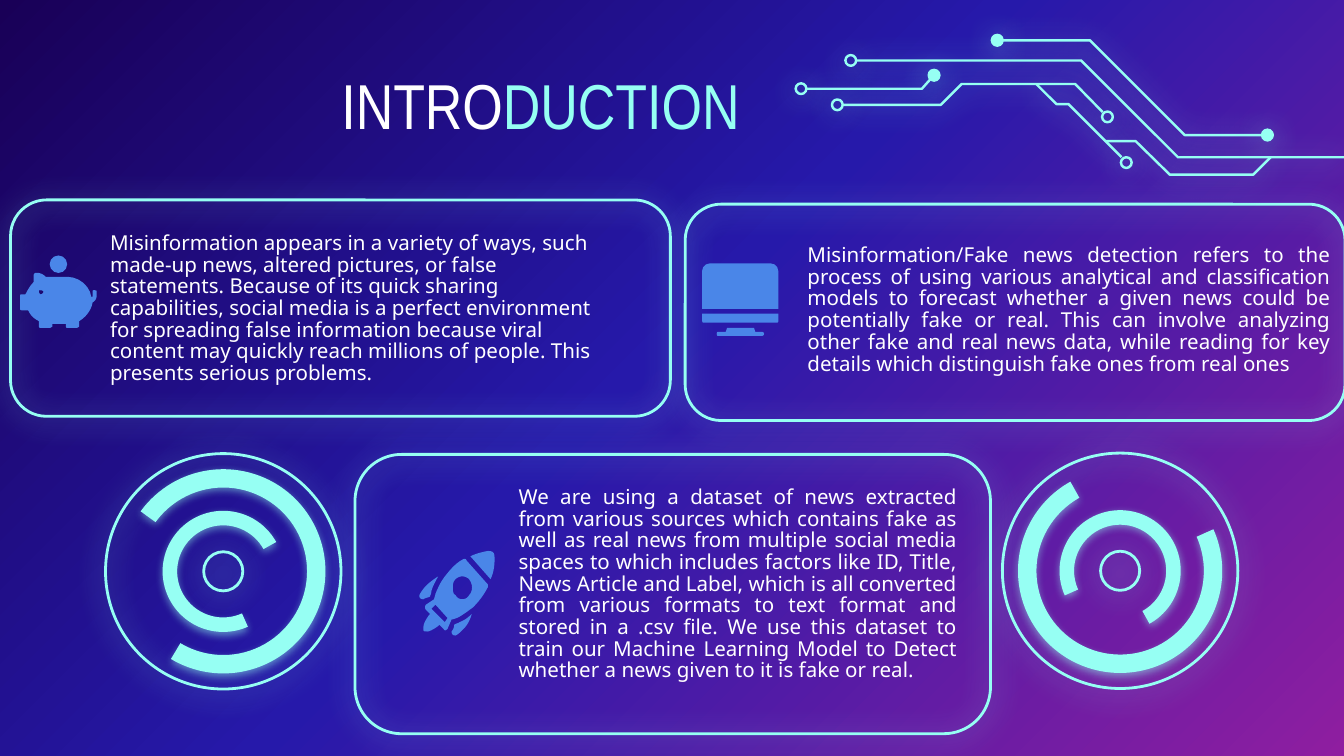
from lxml import etree
from pptx import Presentation
from pptx.dml.color import RGBColor
from pptx.enum.shapes import MSO_SHAPE
from pptx.enum.text import MSO_ANCHOR, MSO_AUTO_SIZE, PP_ALIGN
from pptx.oxml.ns import qn
from pptx.util import Cm, Pt

ARC, OVAL, PANEL = MSO_SHAPE.BLOCK_ARC, MSO_SHAPE.OVAL, MSO_SHAPE.ROUNDED_RECTANGLE
TOP_ROUNDED = MSO_SHAPE.ROUND_2_SAME_RECTANGLE
LEFT, JUSTIFY = PP_ALIGN.LEFT, PP_ALIGN.JUSTIFY
MIDDLE, NO_AUTOFIT = MSO_ANCHOR.MIDDLE, MSO_AUTO_SIZE.NONE

THEME = {
    "neon": "96FFF3", "panel_glow": "98FAFC", "icon": "4A86E8", "text": "FFFFFF",
    "background": [(0, "190057"), (48, "2619AA"), (100, "8F1EA0")],
    "title_font": "Arial Narrow", "body_font": "Noto Sans",
    "title_size": Pt(34), "body_size": Pt(11),
    "outline": Pt(1.5), "trace": Pt(1.3),
}
WIDE_GLOW = {"alpha": 67, "blur": Pt(15.8)}
TIGHT_GLOW = {"alpha": 50, "blur": Pt(4.5)}
GRID = Cm(2.54) / 100  # unit of the drawn paths
CURVE_STEPS = 6

TITLE = [("INTRO", "text"), ("DUCTION", "neon")]
TITLE_BOX = (6.45, 1.17, 7.57, 1.6)

# Boxes are left, top, width, height in cm.
PANELS = [
    {"frame": (0.2, 3.78, 12.47, 4.09), "box": (1.83, 4.29, 9.98, 3.1),
     "bottom": 0.25, "align": LEFT,
     "text": "Misinformation appears in a variety of ways, such made-up news, altered "
             "pictures, or false statements. Because of its quick sharing capabilities, "
             "social media is a perfect environment for spreading false information "
             "because viral content may quickly reach millions of people. This presents "
             "serious problems."},
    {"frame": (12.95, 3.86, 12.47, 4.09), "box": (15.01, 4.57, 10.39, 3.53),
     "bottom": 1.19, "align": JUSTIFY,
     "text": "Misinformation/Fake news detection refers to the process of using various "
             "analytical and classification models to forecast whether a given news could "
             "be potentially fake or real. This can involve analyzing other fake and real "
             "news data, while reading for key details which distinguish fake ones from "
             "real ones"},
    {"frame": (6.71, 8.59, 12.01, 5.28), "box": (9.55, 10.06, 8.79, 3.81),
     "bottom": 2.08, "align": JUSTIFY,
     "text": "We are using a dataset of news extracted from various sources which contains "
             "fake as well as real news from multiple social media spaces to which includes "
             "factors like ID, Title, News Article and Label, which is all converted from "
             "various formats to text format and stored in a .csv file. We use this dataset "
             "to train our Machine Learning Model to Detect whether a news given to it is "
             "fake or real."},
]

# Dials: centre in cm, rotation of the outer and inner arc.
DIALS = [((4.22, 10.8), 90, 300), ((21.17, 10.79), 210, 30)]
DIAL_RINGS = [4.45, 0.74]
DIAL_ARCS = [(3.86, (75.58, 18.5, 0.09)), (2.29, (75.58, 18.61, 0.12))]

TRACES = [
    [(600, 66), (686, 66), (694, 57)],
    [(744, 30), (811, 30), (881.5, 100.5), (941, 100.5)],
    [(627, 78), (700, 78), (715.5, 62.5), (800, 62.5), (820.5, 83.5)],
    [(771, 62.5), (786, 77.5), (795, 77.5), (834.5, 117)],
    [(823, 105), (845, 105), (870.5, 130), (932.5, 130), (945.5, 117)],
    [(637, 45), (804.5, 45), (876.5, 117), (1000, 117)],
]
RING_NODES = [(596, 66), (633, 45), (623, 78), (824, 87), (838, 121)]
DOT_NODES = [(695, 56), (742, 30), (943, 100.5)]
NODE_RADIUS = 4

# A point of two numbers ends a straight line, one of six ends a cubic curve.
PIG = [
    [(27, 203), (26, 203, 25, 204, 25, 205), (25, 210), (23, 212, 21, 215, 19, 219),
     (17, 219), (16, 219, 15, 219, 15, 220), (15, 230), (15, 231, 16, 231, 17, 231),
     (21, 231), (23, 235, 25, 237, 29, 239), (29, 243), (29, 243, 29, 244, 30, 244),
     (37, 244), (38, 244, 39, 243, 39, 243), (39, 241), (49, 241), (49, 243),
     (49, 243, 49, 244, 50, 244), (57, 244), (58, 244, 59, 243, 59, 243), (59, 239),
     (64, 236, 68, 231, 69, 225), (71, 224, 72, 222, 72, 220), (72, 217),
     (72, 216, 71, 216, 70, 216), (69, 216, 69, 216, 69, 217), (69, 220),
     (69, 221, 69, 221, 68, 221), (67, 213, 59, 206, 50, 206), (37, 206),
     (36, 206, 35, 206, 34, 206), (32, 204, 30, 203, 27, 203)],
    [(30, 216), (32, 216, 33, 217, 32, 218), (31, 219, 31, 219, 30, 219),
     (30, 219, 29, 218, 29, 217), (29, 216, 29, 216, 30, 216)],
]
ROCKET_BODY = [
    [(346, 416), (345, 416, 345, 416, 345, 416), (339, 419, 335, 424, 331, 429),
     (328, 433, 326, 437, 324, 442), (324, 443, 323, 445, 323, 446), (317, 450),
     (316, 451, 316, 453, 317, 454), (320, 457), (318, 459, 315, 464, 315, 467),
     (315, 470, 315, 470, 318, 470), (320, 470, 325, 467, 327, 465), (330, 468),
     (331, 470, 332, 469, 333, 468), (336, 461), (338, 461, 339, 460, 340, 460),
     (344, 458, 348, 455, 352, 452), (356, 448, 360, 443, 363, 437),
     (363, 436, 363, 435, 363, 435), (347, 417), (347, 416, 346, 416, 346, 416)],
    [(344, 429), (346, 429, 348, 430, 349, 431), (352, 435, 352, 440, 349, 443),
     (348, 445, 346, 446, 344, 446), (342, 446, 340, 445, 339, 443),
     (337, 442, 337, 440, 337, 437), (337, 435, 337, 433, 339, 431),
     (340, 430, 342, 429, 344, 429)],
    [(324, 450), (333, 460), (331, 463), (321, 453)],
]
ROCKET_NOSE = [[(363, 410), (358, 411, 354, 412, 350, 414), (365, 431),
                (367, 427, 368, 422, 368, 417), (368, 412, 368, 410, 363, 410)]]
ROCKET_LOWER_FIN = [[(351, 457), (348, 460, 345, 462, 342, 463),
                     (341, 464, 339, 464, 338, 465), (338, 467, 337, 469, 336, 470),
                     (336, 472, 337, 473, 339, 473), (341, 472, 343, 470, 345, 468),
                     (348, 465, 350, 461, 351, 457)]]
ROCKET_UPPER_FIN = [[(326, 429), (323, 431, 320, 433, 317, 436),
                     (315, 438, 313, 441, 312, 443), (312, 445, 313, 446, 315, 446),
                     (316, 445, 318, 445, 320, 444), (320, 443, 321, 442, 321, 440),
                     (322, 436, 324, 433, 326, 429)]]
MONITOR_STAND = [[(541, 244), (540, 247), (534, 247), (533, 247, 533, 250, 534, 250),
                  (567, 250), (569, 250, 569, 247, 567, 247), (562, 247), (561, 244)]]
ICONS = [
    {"paths": [PIG], "presets": [(OVAL, (0.94, 4.83, 0.33, 0.33), 0)]},
    {"paths": [ROCKET_BODY, ROCKET_NOSE, ROCKET_LOWER_FIN, ROCKET_UPPER_FIN],
     "presets": []},
    {"paths": [MONITOR_STAND],
     "presets": [(TOP_ROUNDED, (13.27, 4.98, 1.44, 0.86), 0),
                 (TOP_ROUNDED, (13.27, 5.93, 1.44, 0.17), 180)]},
]


def color(name):
    return RGBColor.from_string(THEME[name])


def style(shape, fill=None, line=None, width=THEME["outline"], glow=None, glow_color="neon"):
    if fill:
        shape.fill.solid()
        shape.fill.fore_color.rgb = color(fill)
    else:
        shape.fill.background()
    if line:
        shape.line.color.rgb = color(line)
        shape.line.width = width
    else:
        shape.line.fill.background()
    shape.shadow.inherit = False
    if glow:
        effects = shape.element.spPr.find(qn("a:effectLst"))
        shadow = etree.SubElement(effects, qn("a:outerShdw"), blurRad=str(int(glow["blur"])),
                                  dist=str(int(Pt(1.5))), dir="5400000", algn="bl", rotWithShape="0")
        tint = etree.SubElement(shadow, qn("a:srgbClr"), val=THEME[glow_color])
        etree.SubElement(tint, qn("a:alpha"), val=str(glow["alpha"] * 1000))


def add_preset(shapes, kind, box, rotation=0, **look):
    shape = shapes.add_shape(kind, *map(Cm, box))
    shape.rotation = rotation
    style(shape, **look)
    return shape


def centred(center, size):
    return (center[0] - size / 2, center[1] - size / 2, size, size)


def flatten(contour):
    """Return the contour's points in EMU with its curves sampled."""
    points = [contour[0]]
    for step in contour[1:]:
        if len(step) == 2:
            points.append(step)
            continue
        corners = [points[-1], step[:2], step[2:4], step[4:]]
        for index in range(1, CURVE_STEPS + 1):
            t = index / CURVE_STEPS
            weights = [(1 - t) ** 3, 3 * t * (1 - t) ** 2, 3 * t * t * (1 - t), t ** 3]
            points.append(tuple(sum(w * corner[axis] for w, corner in zip(weights, corners))
                                for axis in (0, 1)))
    return [(round(x * GRID), round(y * GRID)) for x, y in points]


def add_path(shapes, contours, close=True, **look):
    builder = None
    for points in map(flatten, contours):
        if builder is None:
            builder = shapes.build_freeform(*points[0])
        else:
            builder.move_to(*points[0])
        builder.add_line_segments(points[1:], close=close)
    style(builder.convert_to_shape(), **look)


def paint_background(slide):
    fill = slide.background.fill
    fill.gradient()
    fill.gradient_angle = 315
    stops = slide.element.xpath(".//p:bg//a:gsLst")[0]
    for stop in list(stops):
        stops.remove(stop)
    for position, value in THEME["background"]:
        stop = etree.SubElement(stops, qn("a:gs"), pos=str(position * 1000))
        etree.SubElement(stop, qn("a:srgbClr"), val=value)


def place(placeholder, box, insets):
    placeholder.left, placeholder.top, placeholder.width, placeholder.height = map(Cm, box)
    frame = placeholder.text_frame
    frame.margin_left, frame.margin_top, frame.margin_right, frame.margin_bottom = map(Cm, insets)
    frame.vertical_anchor, frame.auto_size = MIDDLE, NO_AUTOFIT
    return frame


def fill_title(placeholder):
    frame = place(placeholder, TITLE_BOX, (0, 0, 0, 0))
    frame.word_wrap = False
    paragraph = frame.paragraphs[0]
    paragraph.alignment = LEFT
    paragraph.font.name, paragraph.font.size = THEME["title_font"], THEME["title_size"]
    for text, tint in TITLE:
        run = paragraph.add_run()
        run.text = text
        run.font.color.rgb = color(tint)


def fill_body(placeholder, panel):
    frame = place(placeholder, panel["box"], (0.25, 0.25, 0.25, panel["bottom"]))
    frame.word_wrap = True
    paragraph = frame.paragraphs[0]
    paragraph.text, paragraph.alignment = panel["text"], panel["align"]
    paragraph.space_before, paragraph.line_spacing = Pt(0), 0.88
    font = paragraph.font
    font.name, font.size, font.bold = THEME["body_font"], THEME["body_size"], False
    font.color.rgb = color("text")
    properties = paragraph._p.get_or_add_pPr()
    properties.set("marL", "0")
    properties.set("indent", "0")
    properties.insert_element_before(etree.Element(qn("a:buNone")), "a:tabLst", "a:defRPr", "a:extLst")


def main():
    presentation = Presentation()
    presentation.slide_width, presentation.slide_height = Cm(25.4), Cm(14.29)
    slide = presentation.slides.add_slide(presentation.slide_layouts.get_by_name("Comparison"))
    shapes = slide.shapes
    paint_background(slide)

    title, *bodies = list(slide.placeholders)
    fill_title(title)
    for body, panel in zip(bodies, PANELS):
        fill_body(body, panel)
        add_preset(shapes, PANEL, panel["frame"], line="neon", glow=WIDE_GLOW, glow_color="panel_glow")
    for spare in bodies[len(PANELS):]:
        spare.element.getparent().remove(spare.element)

    circuit = shapes.add_group_shape().shapes
    trace_look = {"line": "neon", "width": THEME["trace"], "glow": WIDE_GLOW}
    for trace in TRACES:
        add_path(circuit, [trace], close=False, **trace_look)
    for nodes, fill in ((RING_NODES, None), (DOT_NODES, "neon")):
        for node in nodes:
            center = [value * Cm(2.54) / Cm(100) for value in node]
            add_preset(circuit, OVAL, centred(center, NODE_RADIUS * 2 * 2.54 / 100), fill=fill, **trace_look)

    for center, *rotations in DIALS:
        dial = shapes.add_group_shape().shapes
        for size in DIAL_RINGS:
            add_preset(dial, OVAL, centred(center, size), line="neon", glow=WIDE_GLOW)
        for (size, adjustments), rotation in zip(DIAL_ARCS, rotations):
            arc = add_preset(dial, ARC, centred(center, size), rotation, fill="neon", glow=TIGHT_GLOW)
            for index, value in enumerate(adjustments):
                arc.adjustments[index] = value

    for icon in ICONS:
        group = shapes.add_group_shape().shapes
        for path in icon["paths"]:
            add_path(group, path, fill="icon")
        for kind, box, rotation in icon["presets"]:
            add_preset(group, kind, box, rotation, fill="icon")
    presentation.save("out.pptx")


if __name__ == "__main__":
    main()
